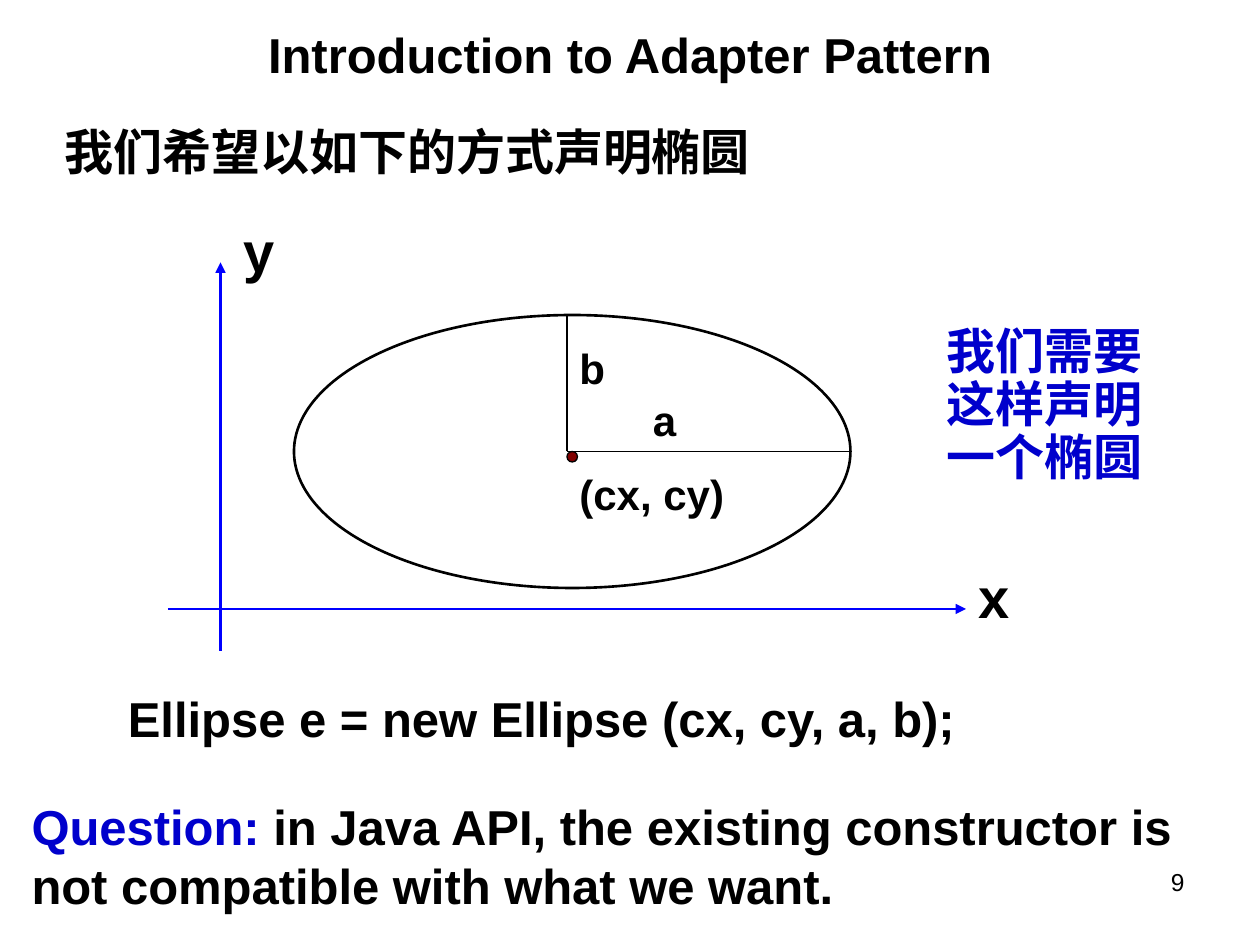
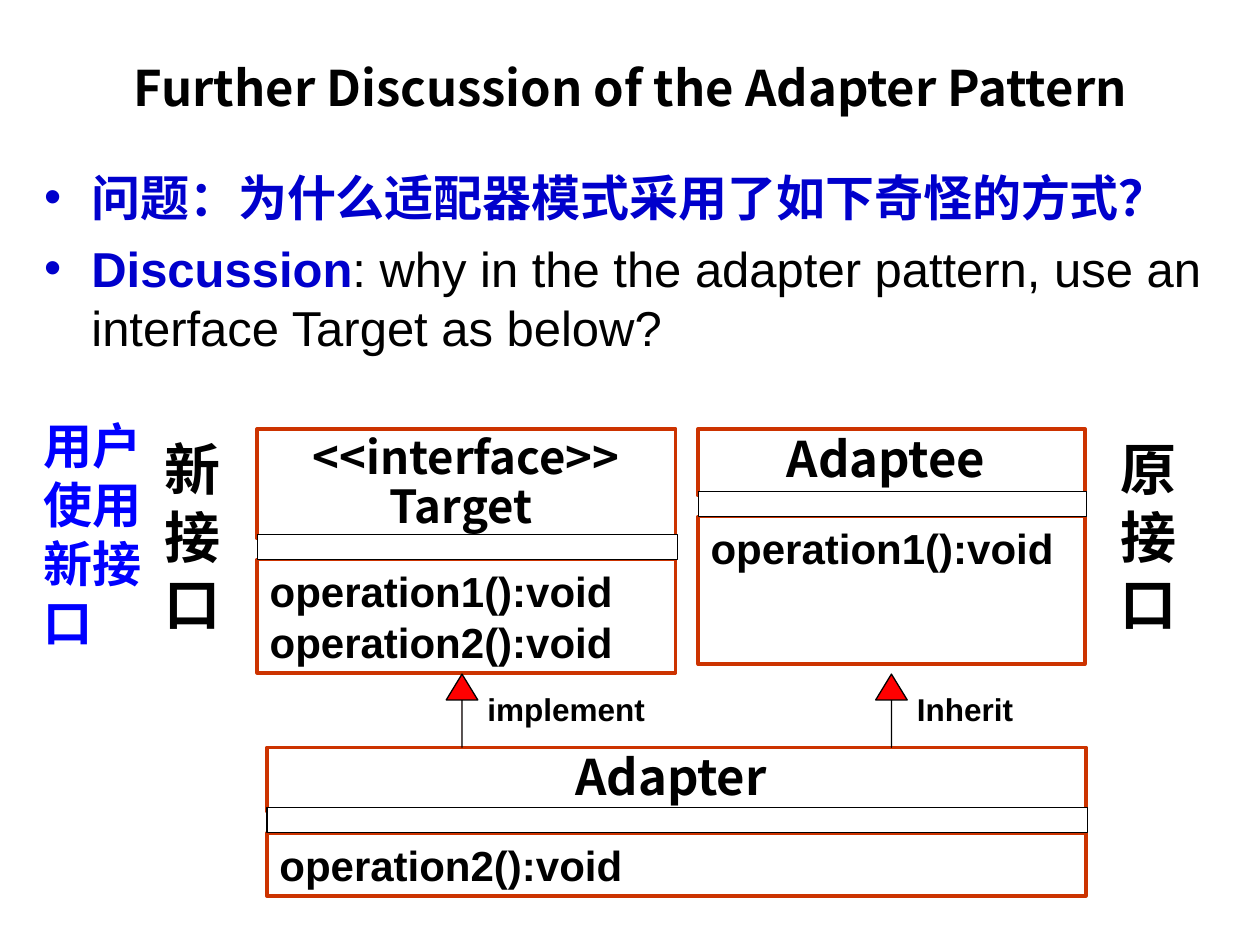
from dataclasses import dataclass, replace

from lxml import etree
from pptx import Presentation
from pptx.dml.color import RGBColor
from pptx.enum.shapes import MSO_CONNECTOR, MSO_SHAPE
from pptx.enum.text import MSO_ANCHOR, MSO_AUTO_SIZE, PP_ALIGN
from pptx.oxml.ns import qn
from pptx.util import Pt

RECT, OVAL, ARROW = MSO_SHAPE.RECTANGLE, MSO_SHAPE.OVAL, MSO_SHAPE.UP_ARROW
STRAIGHT = MSO_CONNECTOR.STRAIGHT
LEFT, MID, RIGHT = PP_ALIGN.LEFT, PP_ALIGN.CENTER, PP_ALIGN.RIGHT
TOP, CENTER = MSO_ANCHOR.TOP, MSO_ANCHOR.MIDDLE
FIXED = MSO_AUTO_SIZE.NONE


@dataclass(frozen=True)
class Theme:
    """Colours, fonts, type sizes and line widths of the deck."""
    ink: str = "000000"
    paper: str = "FFFFFF"
    blue: str = "0000CC"
    bright: str = "0000FF"
    frame: str = "CC3300"
    dot: str = "800000"
    red: str = "FF0000"
    latin: str = "Arial"
    han: str = "Noto Sans CJK SC"
    huge: int = 32
    main: int = 28
    head: int = 26
    label: int = 24
    small: int = 18
    page: int = 14
    thin: float = 0.75
    bold: float = 1.5
    thick: float = 2


T = Theme()


@dataclass(frozen=True)
class Style:
    """Look of one run of text."""
    size: int = T.main
    color: str = T.ink
    font: str = T.latin
    bold: bool = True


MAIN = Style()
HAN = Style(font=T.han)
LABEL = Style(size=T.label)
AXIS = Style(size=T.huge)


def rgb(code):
    """Turn a hex code into a colour."""
    return RGBColor.from_string(code)


def lines(style, *texts):
    """Make one single-run paragraph of each text."""
    return [[(text, style)] for text in texts]


def add_run(para, text, style):
    """Add a styled run to a paragraph."""
    run = para.add_run()
    run.text = text
    font = run.font
    font.size, font.bold, font.name = Pt(style.size), style.bold, style.font
    font.color.rgb = rgb(style.color)
    etree.SubElement(font._element, qn("a:ea"), typeface=style.font)


def set_mark(para, mark):
    """Set a hanging bullet, or none, on a paragraph."""
    props = para._p.get_or_add_pPr()
    indent = Pt(27) if mark else 0
    props.set("marL", str(indent))
    props.set("indent", str(-indent))
    if mark:
        tint = etree.SubElement(props, qn("a:buClr"))
        etree.SubElement(tint, qn("a:srgbClr"), val=T.blue)
        etree.SubElement(props, qn("a:buChar"), char=mark)
    else:
        etree.SubElement(props, qn("a:buNone"))


def write(shape, paras, align=LEFT, anchor=TOP, pitch=1.0, gap=0, mark=None):
    """Fill a shape with paragraphs of runs."""
    frame = shape.text_frame
    frame.word_wrap, frame.auto_size = True, FIXED
    frame.vertical_anchor = anchor
    for i, runs in enumerate(paras):
        para = frame.add_paragraph() if i else frame.paragraphs[0]
        set_mark(para, mark)
        para.alignment, para.line_spacing = align, pitch
        para.space_before = Pt(gap if i else 0)
        for text, style in runs:
            add_run(para, text, style)


def place(shape, spot):
    """Move and size a shape."""
    shape.left, shape.top, shape.width, shape.height = map(Pt, spot)


def add_text(slide, spot, paras, **look):
    """Add a text box."""
    write(slide.shapes.add_textbox(*map(Pt, spot)), paras, **look)


def add_form(slide, kind, spot, fill=None, line=T.ink, width=T.thin):
    """Add an outlined preset shape."""
    shape = slide.shapes.add_shape(kind, *map(Pt, spot))
    shape.shadow.inherit = False
    if fill:
        shape.fill.solid()
        shape.fill.fore_color.rgb = rgb(fill)
    else:
        shape.fill.background()
    shape.line.color.rgb = rgb(line)
    shape.line.width = Pt(width)
    return shape


def add_line(slide, ends, color=T.ink, width=T.thin, tip=False):
    """Add a straight line, with an arrow tip if asked."""
    line = slide.shapes.add_connector(STRAIGHT, *map(Pt, ends))
    line.line.color.rgb = rgb(color)
    line.line.width = Pt(width)
    if tip:
        etree.SubElement(line.line._get_or_add_ln(), qn("a:tailEnd"), type="triangle")
    etree.SubElement(line._element.spPr, qn("a:effectLst"))


def add_class(slide, x, y, width, cut, end, names, jobs):
    """Add a class box: name, empty band and methods."""
    band = 14.4
    frame = dict(fill=T.paper, line=T.frame, width=T.thick)
    part = add_form(slide, RECT, (x, cut + band, width, end - cut - band), **frame)
    write(part, lines(LABEL, *jobs))
    part = add_form(slide, RECT, (x, y, width, cut + 2.5 - y), **frame)
    write(part, names, align=MID, pitch=0.9)
    add_form(slide, RECT, (x, cut, width + 1, band), fill=T.paper)


def add_link(slide, x, text):
    """Add an arrow up to a class, with its label."""
    arrow = add_form(slide, ARROW, (x, 385.2, 18, 41.8), fill=T.red)
    arrow.adjustments[0], arrow.adjustments[1] = 0, 0.82
    add_text(slide, (x + 16.5, 391, 127, 29), lines(Style(size=T.small), text))


def new_slide(deck, title, spot, style):
    """Add a slide with its title in place."""
    slide = deck.slides.add_slide(deck.slide_layouts[1])
    place(slide.shapes.title, spot)
    write(slide.shapes.title, lines(style, title), align=MID, anchor=CENTER)
    return slide


def draw_graph(slide):
    """Draw the ellipse on its axes."""
    x, y, right, top = 324, 258, 486, 180
    add_form(slide, OVAL, (168, top, right - 168, 2 * (y - top)), width=T.bold)
    for ends in ((96, 348, 552, 348), (126, 372, 126, 150)):
        add_line(slide, ends, T.bright, T.bold, tip=True)
    add_form(slide, OVAL, (x, y, 6, 6), fill=T.dot)
    add_line(slide, (x, y, right, y))
    add_line(slide, (x, y, x, top))
    for text, left, head, width, style in (
            ("(cx, cy)", x, 264, 102, LABEL), ("a", 366, 222, 54, LABEL),
            ("b", x, 192, 54, LABEL), ("x", 552, 318, 42, AXIS),
            ("y", 132, 120, 42, AXIS)):
        add_text(slide, (left, head, width, 1.5 * style.size), lines(style, text))


def intro(deck):
    """Build the slide on the wanted ellipse."""
    slide = new_slide(deck, "Introduction to Adapter Pattern", (36, 6, 648, 50), MAIN)
    body = slide.placeholders[1]
    place(body, (18, 455, 666, 68))
    frame = body.text_frame
    frame.margin_left = frame.margin_right = frame.margin_top = frame.margin_bottom = 0
    write(body, [
        [("Question:", replace(MAIN, color=T.blue)),
         (" in Java API, the existing constructor is", MAIN)],
        [("not compatible with what we want.", MAIN)]])
    draw_graph(slide)
    add_text(slide, (30, 66, 432, 42), lines(HAN, "我们希望以如下的方式声明椭圆"))
    add_text(slide, (534, 183.6, 150, 98),
             lines(replace(HAN, color=T.blue), "我们需要这样声明", "一个椭圆"), pitch=0.9)
    add_text(slide, (66, 390, 574, 41),
             lines(MAIN, "Ellipse e = new Ellipse (cx, cy, a, b);"))
    add_text(slide, (516, 492, 168, 37.5),
             lines(Style(size=T.page, bold=False), "9"), align=RIGHT)


def debate(deck):
    """Build the slide on the class diagram."""
    slide = new_slide(deck, "Further Discussion of the Adapter Pattern",
                      (36, 21.6, 648, 56), HAN)
    body = slide.placeholders[1]
    place(body, (18, 92, 678, 120))
    write(body, [
        [("问题：为什么适配器模式采用了如下奇怪的方式？", replace(HAN, color=T.blue))],
        [("Discussion", replace(MAIN, color=T.blue)),
         (": why in the the adapter pattern, use an interface Target as below?",
          replace(MAIN, bold=False))]], gap=7, mark="•")
    one, two = "operation1():void", "operation2():void"
    head = replace(HAN, size=T.head)
    add_class(slide, 147, 245, 239, 305.3, 384.5,
              lines(head, "<<interface>>", "Target "), [one, two])
    add_class(slide, 399, 245, 221, 280.8, 379.5, lines(HAN, "Adaptee "), [one])
    add_class(slide, 152.6, 427, 468, 461.5, 512, lines(HAN, "Adapter "), [two])
    add_link(slide, 255, "implement")
    add_link(slide, 500.4, "Inherit")
    for x, text in ((87, "新接口"), (633, "原接口")):
        add_text(slide, (x, 245, 52, 122), lines(replace(HAN, size=T.huge), *text))
    add_text(slide, (18, 234, 75, 142),
             lines(replace(HAN, color=T.bright), "用户", "使用", "新接", "口"))


def main():
    """Build and save the deck."""
    deck = Presentation()
    deck.slide_width, deck.slide_height = Pt(720), Pt(540)
    intro(deck)
    debate(deck)
    deck.save("out.pptx")


if __name__ == "__main__":
    main()
